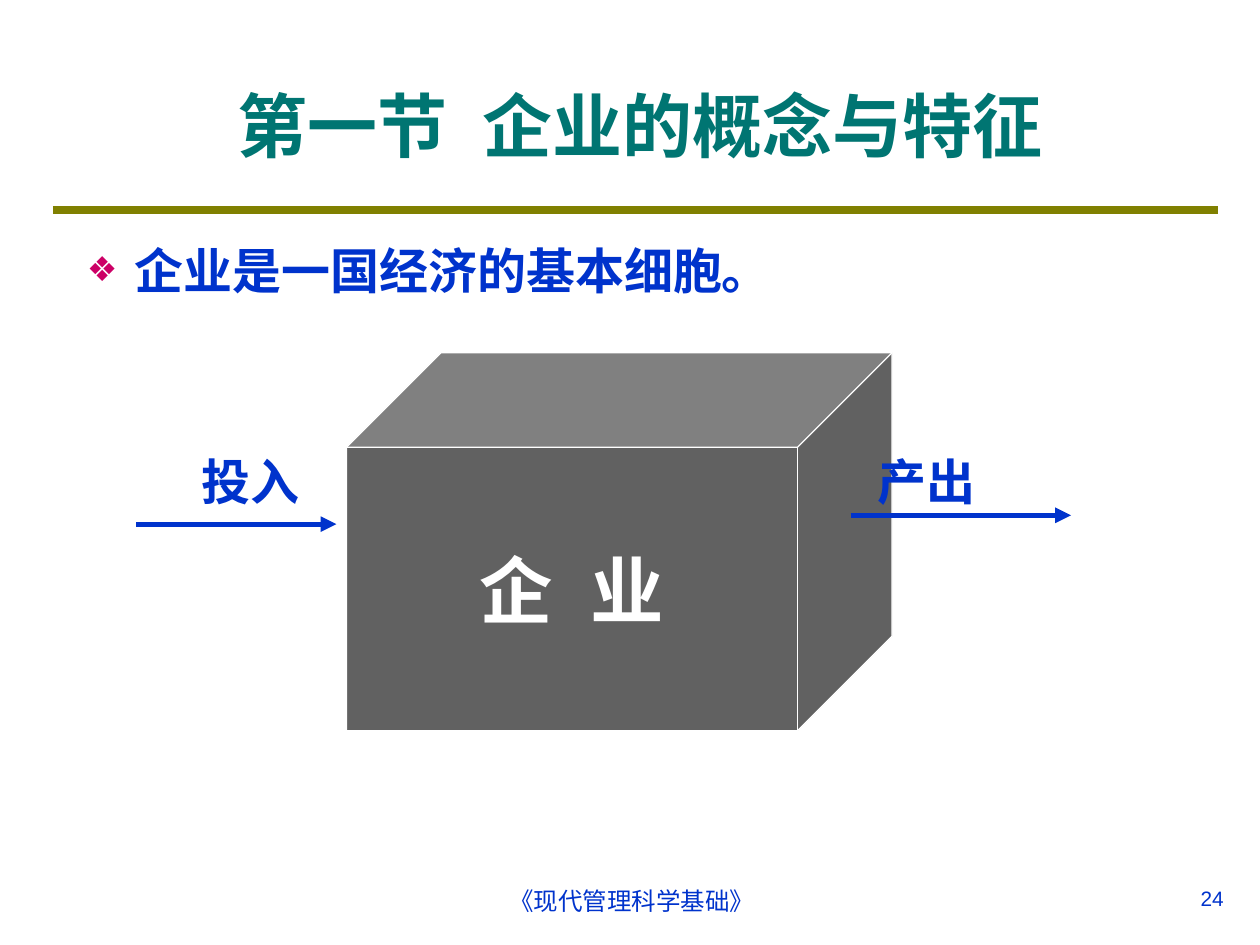
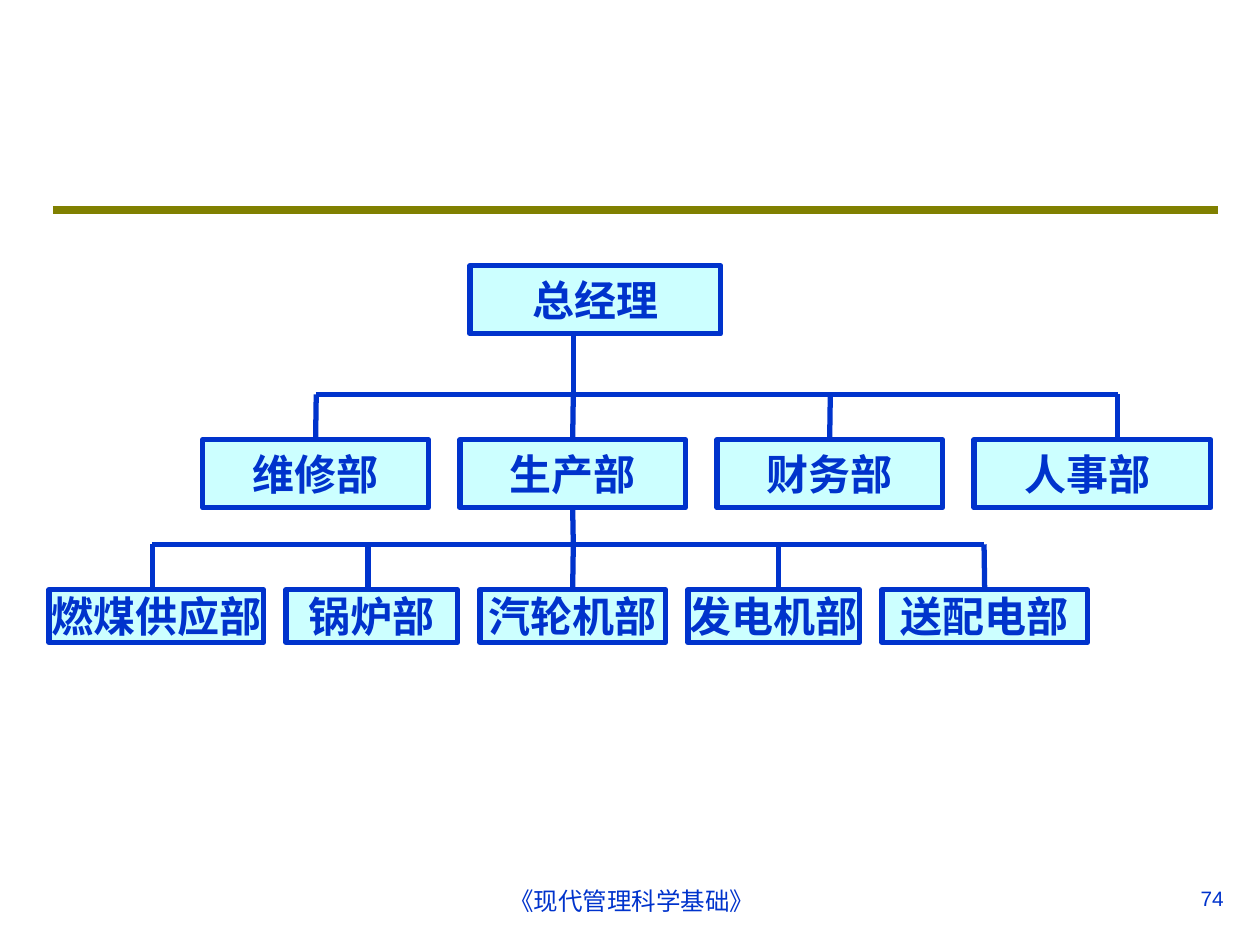
"""Build two slides on the enterprise: its concept and a department chart."""
from lxml import etree
from pptx import Presentation
from pptx import util as u
from pptx.dml.color import RGBColor
from pptx.enum import shapes, text
from pptx.oxml import ns

BLUE, TEAL, OLIVE, PINK = "0033CC", "007572", "808000", "CC0066"
PALE, WHITE, BLACK = "CCFFFF", "FFFFFF", "000000"
EAST_ASIAN = "Noto Sans CJK JP"
CENTER, RIGHT = text.PP_ALIGN.CENTER, text.PP_ALIGN.RIGHT
MIDDLE = text.MSO_ANCHOR.MIDDLE
colour = RGBColor.from_string

deck = Presentation()
deck.slide_width, deck.slide_height = u.Inches(10), u.Inches(7.5)
CELL = deck.slide_width // 100


def write(box, cells, content, size, ink=BLUE, font="Arial", bold=True, align=None, **frame):
    """Place a box on the grid of 100 columns by 75 rows and fill it with text."""
    for side, count in zip(("left", "top", "width", "height"), cells):
        setattr(box, side, round(count * CELL))
    values = {"word_wrap": True, "auto_size": text.MSO_AUTO_SIZE.NONE, **frame}
    for name, value in values.items():
        setattr(box.text_frame, name, value)
    para = box.text_frame.paragraphs[0]
    para.alignment = align
    for piece in filter(None, content.partition(" ")):
        span = para.add_run()
        span.text = piece
        for name, value in {"name": font, "size": u.Pt(size), "bold": bold}.items():
            setattr(span.font, name, value)
        span.font.color.rgb = colour(ink)
        props = span.font._element
        etree.SubElement(props, ns.qn("a:ea"), typeface=EAST_ASIAN)
        if piece == " ":
            props.set("spc", str(round(size * 28)))
    return para


def draw_line(page, start, end, ink=BLUE, width=3):
    """Draw a straight line between two grid points."""
    points = [round(count * CELL) for count in (*start, *end)]
    line = page.shapes.add_connector(shapes.MSO_CONNECTOR.STRAIGHT, *points)
    line.line.color.rgb = colour(ink)
    line.line.width = u.Pt(width)
    etree.SubElement(line._element.spPr, ns.qn("a:effectLst"))
    return line


concept = deck.slides.add_slide(deck.slide_layouts[1])
chart = deck.slides.add_slide(deck.slide_layouts[6])

for page, number in ((concept, "24"), (chart, "74")):
    page.background.fill.solid()
    page.background.fill.fore_color.rgb = colour(WHITE)
    draw_line(page, (4.2, 16.7), (96.7, 16.7), OLIVE, 4.5)
    for cells, content, size, align in (
        ((34.3, 69.8, 31.7, 5.2), "《现代管理科学基础》", 14, CENTER),
        ((84.7, 69.8, 13.4, 3.1), number, 11.9, RIGHT),
    ):
        write(page.shapes.add_textbox(0, 0, 0, 0), cells, content, size, bold=False, align=align)

title, body = concept.placeholders
write(title, (5.9, 3.6, 89.8, 12.5), "第一节 企业的概念与特征", 40, TEAL,
      align=CENTER, vertical_anchor=MIDDLE)
point = write(body, (5.9, 18.6, 89, 49.9), "企业是一国经济的基本细胞。", 28)
point.space_before = u.Pt(0)
bullet = point._element.get_or_add_pPr()
bullet.set("marL", str(round(3.8 * CELL)))
bullet.set("indent", str(round(-3.8 * CELL)))
tint = etree.SubElement(bullet, ns.qn("a:buClr"))
etree.SubElement(tint, ns.qn("a:srgbClr"), val=PINK)
etree.SubElement(bullet, ns.qn("a:buSzPct"), val="70000")
etree.SubElement(bullet, ns.qn("a:buChar"), char="❖")

cube = concept.shapes.add_shape(shapes.MSO_SHAPE.CUBE, 0, 0, 0, 0)
cube.shadow.inherit = False
cube.adjustments[0] = 0.25
cube.fill.solid()
cube.fill.fore_color.rgb = colour(BLACK)
shade = cube._element.spPr.find(ns.qn("a:solidFill"))[0]
etree.SubElement(shade, ns.qn("a:alpha"), val="62000")
cube.line.color.rgb = colour(WHITE)
cube.line.width = u.Pt(0.75)
write(cube, (27.5, 28, 43.3, 30), "企 业", 42, WHITE, EAST_ASIAN,
      align=CENTER, vertical_anchor=MIDDLE, word_wrap=False)

for label, left, start, end, height in (
    ("投入", 14.9, 10.8, 26.7, 41.6),
    ("产出", 68.5, 67.5, 85, 40.9),
):
    arrow = draw_line(concept, (start, height), (end, height))
    etree.SubElement(arrow.line._get_or_add_ln(), ns.qn("a:tailEnd"), type="triangle")
    write(concept.shapes.add_textbox(0, 0, 0, 0), (left, 35.2, 10, 6), label, 28,
          align=CENTER, vertical_anchor=MIDDLE)

TRUNK, NEAR = 45.5, 0.1
tiers = (
    (21.1, 5.4, 37.3, 0, None, (("总经理", 19.9, TRUNK),)),
    (34.9, 5.4, 16.1, 2.5, 31.3,
     (("维修部", 17.9, 25.1), ("生产部", 17.9, TRUNK), ("财务部", 17.9, 65.9), ("人事部", 18.8, 88.7))),
    (46.8, 4.2, 3.9, 1.8, 43.2,
     (("燃煤供应部", 17, 12.1), ("锅炉部", 13.6, 29.2), ("汽轮机部", 14.7, TRUNK),
      ("发电机部", 13.6, 61.8), ("送配电部", 16.3, 78.1))),
)
above, floor = [], 0
for top, height, left, gap, bar, departments in tiers:
    if bar:
        draw_line(chart, (departments[0][2], bar), (departments[-1][2], bar))
        trunk = draw_line(chart, (TRUNK, floor), (TRUNK, bar))
        for parent, middle in above:
            if abs(middle - TRUNK) < NEAR:
                trunk.begin_connect(parent, 2)
    above, floor = [], top + height
    for name, width, drop in departments:
        box = chart.shapes.add_shape(shapes.MSO_SHAPE.RECTANGLE, 0, 0, 0, 0)
        box.shadow.inherit = False
        box.fill.solid()
        box.fill.fore_color.rgb = colour(PALE)
        box.line.color.rgb = colour(BLUE)
        box.line.width = u.Pt(3)
        write(box, (left, top, width, height), name, 24, font="Times New Roman", align=CENTER,
              vertical_anchor=MIDDLE, word_wrap=False, margin_left=0,
              margin_right=u.Inches(0.08 if name == "人事部" else 0))
        middle = left + width / 2
        above.append((box, middle))
        if bar:
            branch = draw_line(chart, (drop, bar), (drop, top))
            if abs(middle - drop) < NEAR:
                branch.end_connect(box, 0)
        left += width + gap

deck.save("out.pptx")
